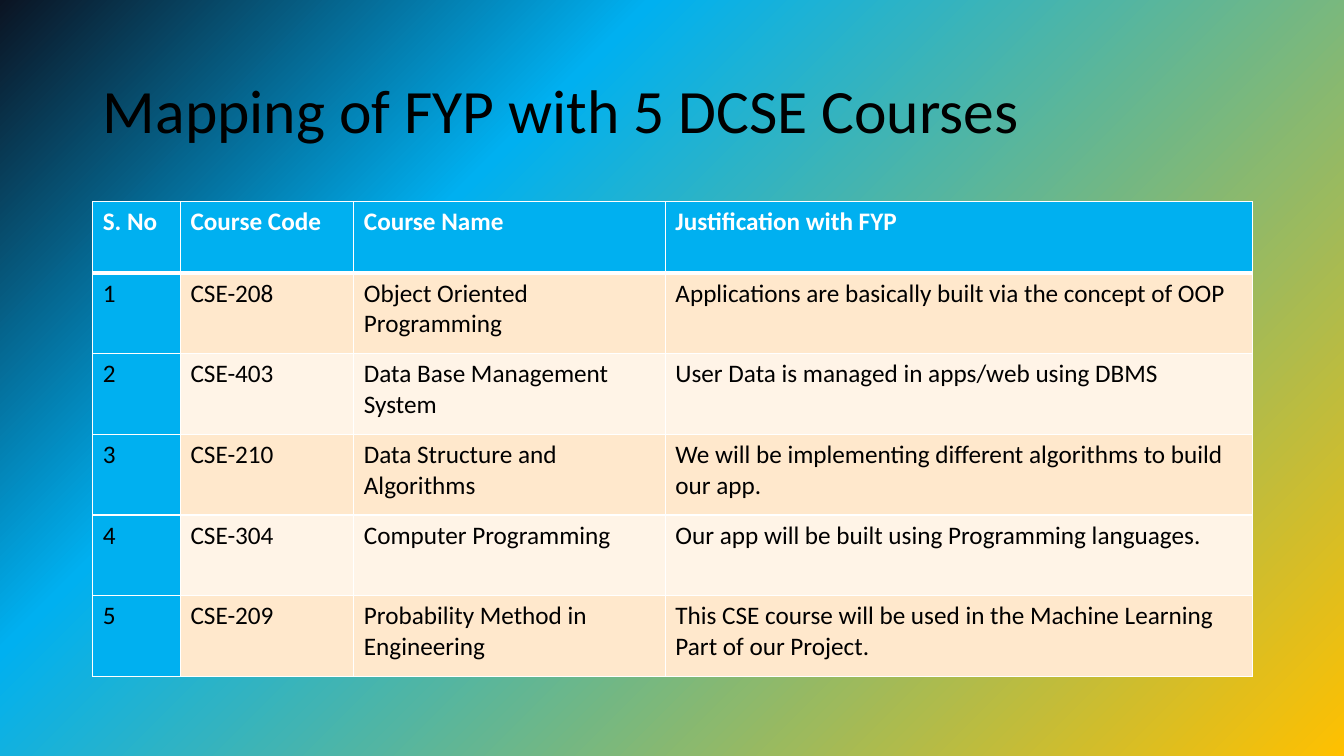
import pptx
import pptx.util
import pptx.oxml
import pptx.oxml.ns
import pptx.dml.color
import pptx.enum.text
from lxml import etree

Inches = pptx.util.Inches
Pt = pptx.util.Pt
RGBColor = pptx.dml.color.RGBColor
qn = pptx.oxml.ns.qn

TITLE = "Mapping of FYP with 5 DCSE Courses"
HEADS = ("S. No", "Course Code", "Course Name", "Justification with FYP")
COURSES = [
    ("CSE-208", "Object Oriented Programming",
     "Applications are basically built via the concept of OOP"),
    ("CSE-403", "Data Base Management System",
     "User Data is managed in apps/web using DBMS"),
    ("CSE-210", "Data Structure and Algorithms",
     "We will be implementing different algorithms to build our app."),
    ("CSE-304", "Computer Programming",
     "Our app will be built using Programming languages."),
    ("CSE-209", "Probability Method in Engineering",
     "This CSE course will be used in the Machine Learning Part of our Project."),
]
WIDTHS = (0.87, 1.72, 3.09, 5.82)
HEAD_H, ROW_H = 0.71, 0.8
LEFT, WIDE = 0.92, 11.5
FONT = "Calibri"

BLACK = RGBColor(0x00, 0x00, 0x00)
WHITE = RGBColor(0xFF, 0xFF, 0xFF)
BLUE = RGBColor(0x00, 0xB0, 0xF0)
PEACH = RGBColor(0xFF, 0xE8, 0xCC)
CREAM = RGBColor(0xFF, 0xF4, 0xE7)
GOLD = RGBColor(0xFF, 0xC0, 0x00)
NAVY = RGBColor(0x0B, 0x14, 0x23)
DARK = RGBColor(0x08, 0x06, 0x00)
STOPS = [(0, GOLD, 100), (69, BLUE, 100), (100, NAVY, 78), (100, DARK, 0)]


def add(parent, tag, **attrs):
    return etree.SubElement(parent, qn(tag), attrs)


def paint_back(slide):
    slide.background.fill.solid()
    props = slide.element.find(".//" + qn("p:bgPr"))
    props.remove(props[0])
    grad = add(props, "a:gradFill", rotWithShape="1")
    props.insert(0, grad)
    stops = add(grad, "a:gsLst")
    for pos, color, alpha in STOPS:
        stop = add(stops, "a:gs", pos=str(pos * 1000))
        tint = add(stop, "a:srgbClr", val=str(color))
        if alpha < 100:
            add(tint, "a:alpha", val=str(alpha * 1000))
    path = add(grad, "a:path", path="circle")
    add(path, "a:fillToRect", l="100000", t="100000")


def style(para, size, color, bold=False):
    font = para.font
    font.name, font.size, font.bold = FONT, Pt(size), bold
    font.color.rgb = color


def add_edges(cell, row):
    props = cell._tc.get_or_add_tcPr()
    heavy = {0: "B", 1: "T"}.get(row)
    for side in "LRTB":
        width = Pt(3 if side == heavy else 1)
        line = add(props, "a:ln" + side, w=str(width))
        add(add(line, "a:solidFill"), "a:srgbClr", val=str(WHITE))


def fill_cell(cell, text, row, col):
    cell.text = text
    head = row == 0
    style(cell.text_frame.paragraphs[0], 18, WHITE if head else BLACK, head)
    add_edges(cell, row)
    cell.fill.solid()
    band = PEACH if row % 2 else CREAM
    cell.fill.fore_color.rgb = BLUE if head or col == 0 else band


def main():
    deck = pptx.Presentation()
    deck.slide_width, deck.slide_height = Inches(13.33), Inches(7.5)
    slide = deck.slides.add_slide(deck.slide_layouts[5])
    paint_back(slide)

    title = slide.shapes.title
    title.left, title.top = Inches(LEFT), Inches(0.4)
    title.width, title.height = Inches(WIDE), Inches(1.45)
    frame = title.text_frame
    frame.text = TITLE
    frame.word_wrap = True
    frame.auto_size = pptx.enum.text.MSO_AUTO_SIZE.NONE
    frame.vertical_anchor = pptx.enum.text.MSO_ANCHOR.MIDDLE
    para = frame.paragraphs[0]
    para.alignment = pptx.enum.text.PP_ALIGN.LEFT
    para.line_spacing = 0.9
    style(para, 44, BLACK)

    rows = [HEADS] + [(str(n), *course) for n, course in enumerate(COURSES, 1)]
    high = HEAD_H + ROW_H * len(COURSES)
    table = slide.shapes.add_table(
        len(rows), len(HEADS), Inches(LEFT), Inches(2), Inches(WIDE), Inches(high)
    ).table
    for col, width in enumerate(WIDTHS):
        table.columns[col].width = Inches(width)
    for row, texts in enumerate(rows):
        table.rows[row].height = Inches(ROW_H if row else HEAD_H)
        for col, text in enumerate(texts):
            fill_cell(table.cell(row, col), text, row, col)

    deck.save("out.pptx")


if __name__ == "__main__":
    main()
